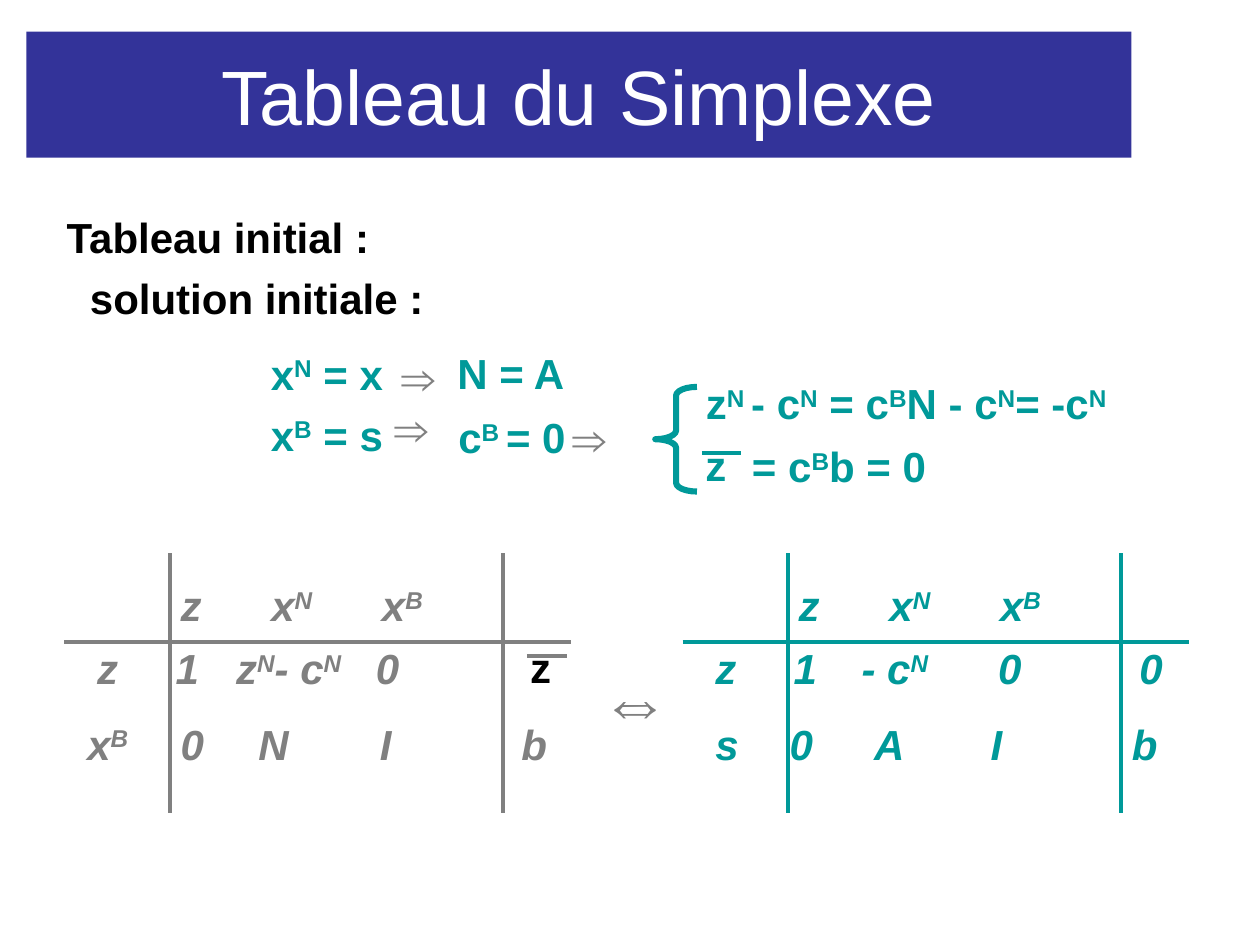
from pptx import Presentation
from pptx.dml.color import RGBColor
from pptx.enum.shapes import MSO_CONNECTOR as Connector, MSO_SHAPE as Shape
from pptx.enum.text import MSO_ANCHOR as Anchor, MSO_AUTO_SIZE as AutoSize, PP_ALIGN as Align
from pptx.oxml.ns import qn
from pptx.util import Cm, Pt
from lxml.etree import SubElement

TEAL, GREY, BLACK, WHITE, BLUE = "009999", "808080", "000000", "FFFFFF", "333399"


def colour(code):
    return RGBColor.from_string(code)


def write(box, lines, size=24, code=TEAL, bold=True, italic=False, align=Align.LEFT,
          anchor=Anchor.TOP, gap=6, indents=(), tabs=(), spacings=()):
    frame = box.text_frame
    frame.word_wrap = True
    frame.auto_size = AutoSize.NONE
    frame.vertical_anchor = anchor
    for index, line in enumerate(lines):
        para = frame.paragraphs[0] if index == 0 else frame.add_paragraph()
        props = para._p.get_or_add_pPr()
        if indents:
            props.set("marL", str(Cm(indents[index])))
            props.set("indent", "0")
            SubElement(props, qn("a:buNone"))
        if tabs:
            stops = SubElement(props, qn("a:tabLst"))
            for position in tabs[index]:
                SubElement(stops, qn("a:tab"), pos=str(Cm(position)), algn="l")
        para.alignment = align
        para.space_before = Pt(gap if index else 0)
        para.line_spacing = spacings[index] if spacings else 1.0
        for part, text in enumerate(line.split("^")):
            if not text:
                continue
            span = para.add_run()
            span.text = text
            font = span.font
            font.name, font.size, font.bold, font.italic = "Arial", Pt(size), bold, italic
            font.color.rgb = colour(code)
            if part % 2:
                span._r.get_or_add_rPr().set("baseline", "30000")


deck = Presentation()
deck.slide_width, deck.slide_height = Cm(25.4), Cm(19.05)
page = deck.slides.add_slide(deck.slide_layouts[1])
shapes = page.shapes

title = shapes.title
title.left, title.top, title.width, title.height = Cm(0.53), Cm(0.64), Cm(22.28), Cm(2.54)
title.fill.solid()
title.fill.fore_color.rgb = colour(BLUE)
write(title, ["Tableau du Simplexe"], size=44, code=WHITE, bold=False,
      align=Align.CENTER, anchor=Anchor.MIDDLE)

body = page.placeholders[1]
body.left, body.top, body.width, body.height = Cm(1.09), Cm(4.14), Cm(22.91), Cm(11.76)
write(body, ["Tableau initial :", "solution initiale :"], code=BLACK, indents=(0, 0.47))

formulas = [
    (5.21, 6.9, 3.3, 3.23, ["x^N^ = x", "x^B^ = s"], TEAL),
    (8.97, 6.88, 3.25, 1.65, ["N = A"], TEAL),
    (8.99, 8.18, 3.23, 1.65, ["c^B ^= 0"], TEAL),
    (13.98, 7.49, 10.36, 1.7, ["z^N ^- c^N^ = c^B^N - c^N^= -c^N^"], TEAL),
    (13.97, 8.73, 2.29, 1.7, ["z"], TEAL),
    (14.91, 8.76, 8, 1.7, ["= c^B^b = 0"], TEAL),
    (10.44, 12.8, 2.29, 1.7, ["z"], BLACK),
]
for left, top, width, height, lines, code in formulas:
    box = shapes.add_textbox(Cm(left), Cm(top), Cm(width), Cm(height))
    write(box, lines, code=code)

for left, top in [(7.85, 6.9), (7.7, 7.92), (11.3, 8.13)]:
    implies = shapes.add_textbox(Cm(left), Cm(top), Cm(1.96), Cm(1.65))
    write(implies, ["⇒"], size=27, code=GREY, bold=False)

equivalent = shapes.add_textbox(Cm(11.86), Cm(13.16), Cm(1.8), Cm(1.96))
write(equivalent, ["⇔"], size=40, code=GREY, align=Align.CENTER)

brace = shapes.add_shape(Shape.LEFT_BRACE, Cm(13.21), Cm(7.8), Cm(0.84), Cm(2.11))
brace.adjustments[0] = 0.21
brace.shadow.inherit = False
brace.fill.background()
brace.line.color.rgb = colour(TEAL)
brace.line.width = Pt(3.5)

rules = [(14.15, 9.14, 14.94, 9.14, TEAL), (10.62, 13.23, 11.43, 13.23, GREY)]
header, header_tabs = "\tz\tx^N^\tx^B^", (1.88, 3.71, 5.94)
tableaux = [
    (1.3, GREY,
     [header, "\tz\t1\tz^N^- c^N^\t0", "x^B^\t0\tN\tI\tb"],
     [header_tabs, (0.2, 1.78, 3, 5.82), (1.88, 3.45, 5.9, 8.75)]),
    (13.76, TEAL,
     [header, "\tz\t1\t- c^N^\t0\t0", "\ts\t0\tA\tI\tb"],
     [header_tabs, (0.2, 1.78, 3.15, 5.9, 8.75), (0.2, 1.7, 3.4, 5.75, 8.6)]),
]
for left, code, lines, tabs in tableaux:
    box = shapes.add_textbox(Cm(left + 0.21), Cm(11.56), Cm(9.85), Cm(4.06))
    write(box, lines, code=code, italic=True, gap=0, tabs=tabs, spacings=(1.0, 1.25, 1.5))
    rules.append((left, 12.95, left + 10.21, 12.95, code))
    for offset in (2.13, 8.84):
        rules.append((left + offset, 11.15, left + offset, 16.38, code))

for x1, y1, x2, y2, code in rules:
    rule = shapes.add_connector(Connector.STRAIGHT, Cm(x1), Cm(y1), Cm(x2), Cm(y2))
    rule.line.color.rgb = colour(code)
    rule.line.width = Pt(2.25)
    SubElement(rule._element.spPr, qn("a:effectLst"))

deck.save("out.pptx")
